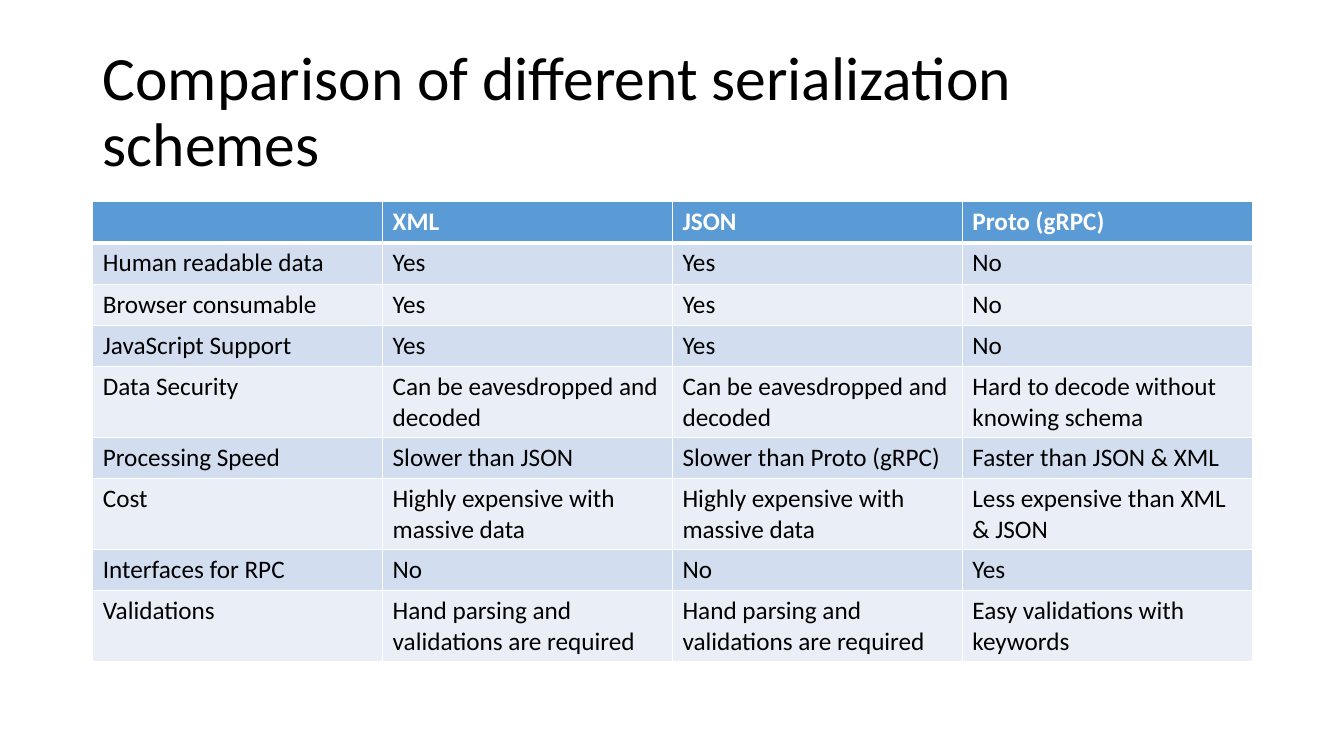
"""Build a slide that compares serialization schemes in a table."""
from dataclasses import dataclass

from lxml import etree
from pptx import Presentation, util as u
from pptx.dml.color import RGBColor
from pptx.enum import text
from pptx.oxml import ns


@dataclass(frozen=True)
class Theme:
    font: str = "Calibri"
    ink: str = "000000"
    white: str = "FFFFFF"
    head: str = "5B9BD5"
    bands: tuple = ("D2DEEF", "EAEFF7")
    title: int = 44
    body: int = 18
    thin: int = 1
    thick: int = 3


def write(frame, words, *, font, size, color, bold=False, space=None):
    para = frame.paragraphs[0]
    para.line_spacing = space
    run = para.add_run()
    run.text = words
    run.font.name = font
    run.font.size = u.Pt(size)
    run.font.bold = bold
    run.font.color.rgb = RGBColor.from_string(color)


class Deck:
    def __init__(self, slide, theme):
        self.slide = slide
        self.theme = theme

    def title(self, words, *box):
        frame = self.slide.shapes.add_textbox(*map(u.Inches, box)).text_frame
        frame.word_wrap = True
        frame.vertical_anchor = text.MSO_ANCHOR.MIDDLE
        write(frame, words, font=self.theme.font, size=self.theme.title,
              color=self.theme.ink, space=0.9)

    def edge(self, cell, side, width):
        props = cell._tc.get_or_add_tcPr()
        line = etree.SubElement(props, ns.qn(f"a:ln{side}"), w=str(u.Pt(width)))
        fill = etree.SubElement(line, ns.qn("a:solidFill"))
        etree.SubElement(fill, ns.qn("a:srgbClr"), val=self.theme.white)

    def cell(self, cell, words, row):
        theme = self.theme
        top = row == 0
        heavy = {(0, "B"), (1, "T")}
        for side in "LRTB":
            self.edge(cell, side, theme.thick if (row, side) in heavy else theme.thin)
        cell.fill.solid()
        shade = theme.head if top else theme.bands[(row - 1) % 2]
        cell.fill.fore_color.rgb = RGBColor.from_string(shade)
        if words:
            write(cell.text_frame, words, font=theme.font, size=theme.body,
                  color=theme.white if top else theme.ink, bold=top)

    def table(self, rows, left, top, width, height):
        box = map(u.Inches, (left, top, width, height * len(rows)))
        grid = self.slide.shapes.add_table(len(rows), len(rows[0]), *box).table
        for row, line in enumerate(rows):
            grid.rows[row].height = u.Inches(height)
            for col, words in enumerate(line):
                self.cell(grid.cell(row, col), words, row)


ROWS = [
    ("", "XML", "JSON", "Proto (gRPC)"),
    ("Human readable data", "Yes", "Yes", "No"),
    ("Browser consumable", "Yes", "Yes", "No"),
    ("JavaScript Support", "Yes", "Yes", "No"),
    ("Data Security", *["Can be eavesdropped and decoded"] * 2,
     "Hard to decode without knowing schema"),
    ("Processing Speed", "Slower than JSON", "Slower than Proto (gRPC)",
     "Faster than JSON & XML"),
    ("Cost", *["Highly expensive with massive data"] * 2,
     "Less expensive than XML & JSON"),
    ("Interfaces for RPC", "No", "No", "Yes"),
    ("Validations", *["Hand parsing and validations are required"] * 2,
     "Easy validations with keywords"),
]

show = Presentation()
show.slide_width, show.slide_height = u.Inches(13.33), u.Inches(7.5)
deck = Deck(show.slides.add_slide(show.slide_layouts[6]), Theme())
deck.title("Comparison of different serialization schemes", 0.92, 0.4, 11.5, 1.45)
deck.table(ROWS, 0.92, 2, 11.5, 0.41)
show.save("out.pptx")
